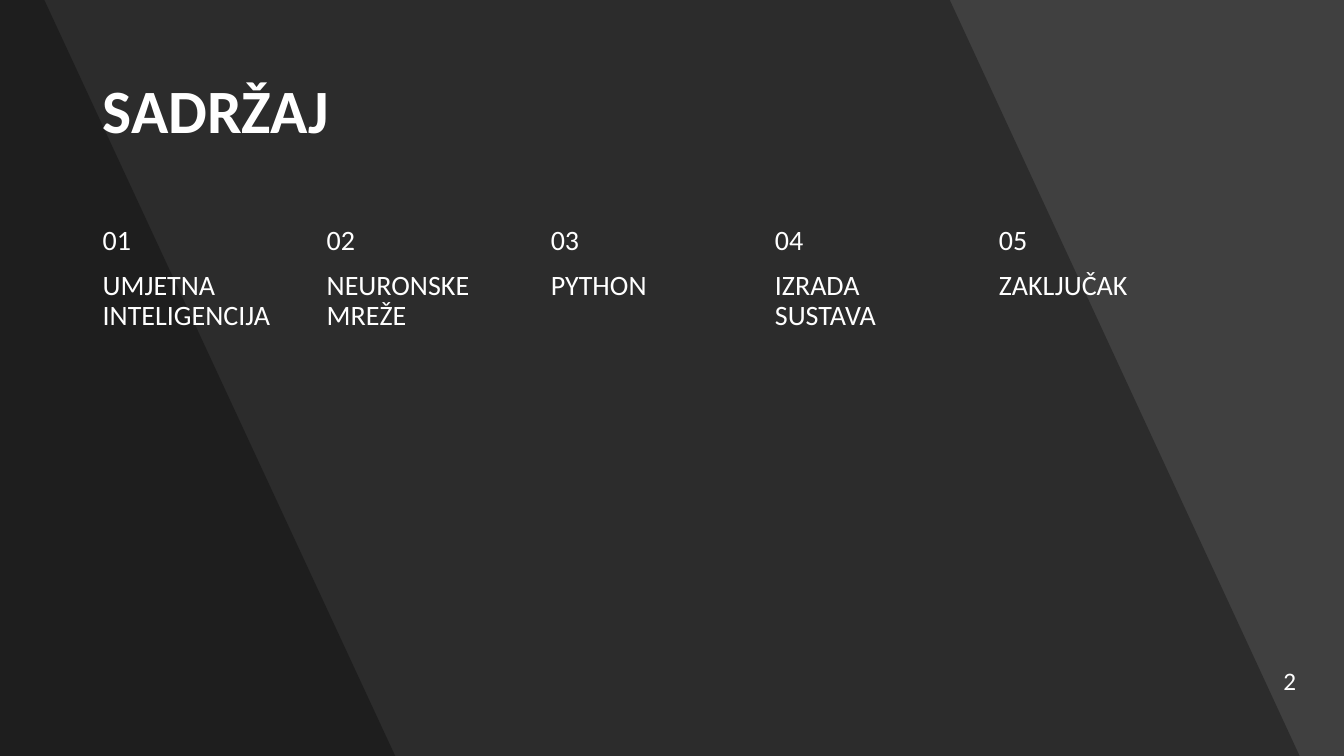
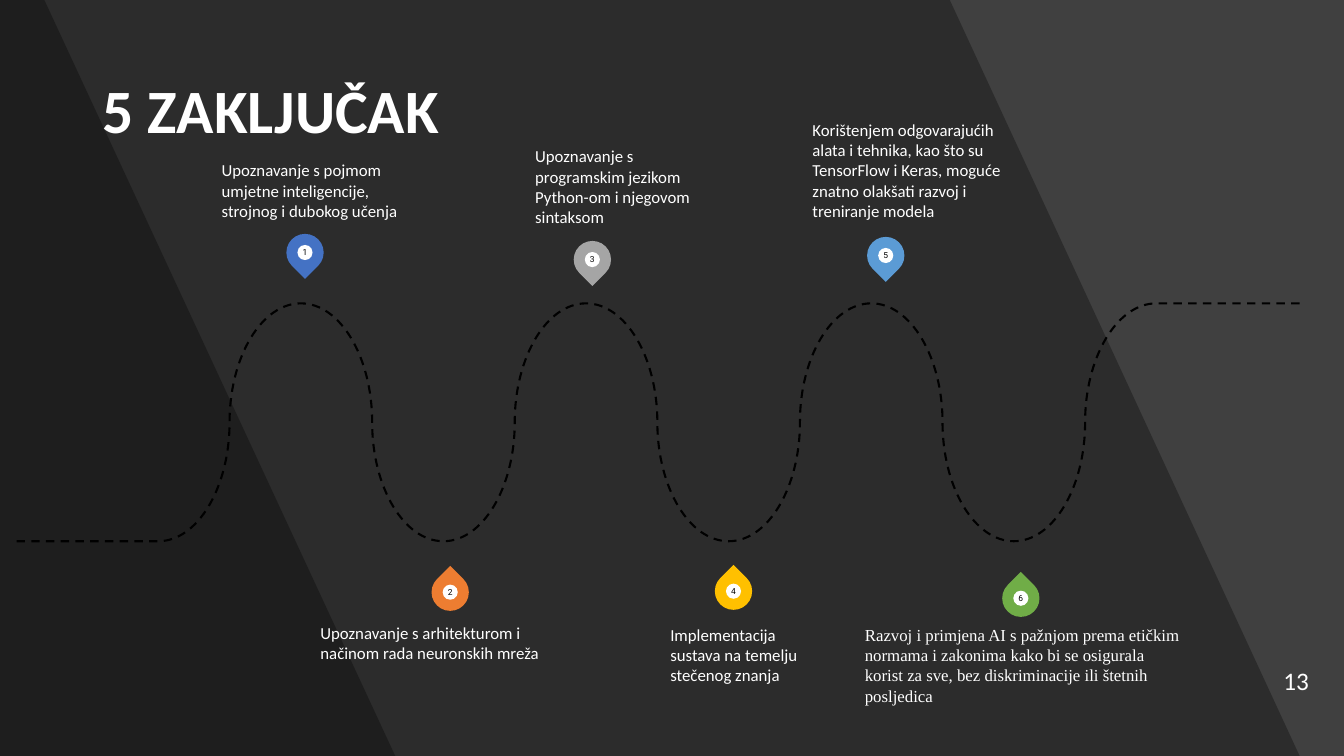
from typing import NamedTuple

from lxml.etree import SubElement
from pptx import Presentation
from pptx.dml.color import RGBColor
from pptx.enum.dml import MSO_LINE
from pptx.enum.shapes import MSO_SHAPE
from pptx.enum.text import MSO_ANCHOR, PP_ALIGN
from pptx.oxml.ns import qn
from pptx.util import Inches, Pt


class Box(NamedTuple):
    """A rectangle in inches."""

    left: float
    top: float
    width: float
    height: float

    def lengths(self):
        """Return the four sides as slide lengths."""
        return [Inches(side) for side in self]


BACKGROUND, WHITE, BLACK = "404040", "FFFFFF", "000000"
SLIDE = Box(0, 0, 13.33, 7.5)
BANDS = [(9.42, 12.89), (0.44, 3.92)]
TITLE_BOX = Box(0.92, 0.4, 11.5, 1.45)
TITLE_FONT = {"name": "Calibri", "size": Pt(44), "bold": True}
NUMBER_FONT = {"name": "Calibri", "size": Pt(18)}
CONTENTS_FONT = {"name": "Calibri", "size": Pt(20)}
NOTE_FONT = {"name": "Calibri", "size": Pt(12)}
SERIF_FONT = NOTE_FONT | {"name": "Times New Roman"}
PIN_FONT = {"name": "Roboto", "size": Pt(6)}
PIN_SIZE, DOT_SIZE = 0.37, 0.15
ARC_HANDLE = 0.55

CONTENTS = ["UMJETNA INTELIGENCIJA", "NEURONSKE MREŽE", "PYTHON", "IZRADA SUSTAVA", "ZAKLJUČAK"]

CONCLUSIONS = [
    ("4472C4", (2.84, 2.32), Box(2.1, 1.54, 2.18, 0.71), NOTE_FONT,
     "Upoznavanje s pojmom umjetne inteligencije, strojnog i dubokog učenja"),
    ("ED7D31", (4.28, 5.69), Box(3.08, 6.13, 2.53, 0.5), NOTE_FONT,
     "Upoznavanje s arhitekturom i načinom rada neuronskih mreža"),
    ("A5A5A5", (5.69, 2.39), Box(5.21, 1.4, 1.76, 0.91), NOTE_FONT,
     "Upoznavanje s programskim jezikom Python-om i njegovom sintaksom"),
    ("FFC000", (7.09, 5.68), Box(6.55, 6.15, 1.74, 0.71), NOTE_FONT,
     "Implementacija sustava na temelju stečenog znanja"),
    ("5B9BD5", (8.6, 2.35), Box(7.96, 1.14, 2.16, 1.11), NOTE_FONT,
     "Korištenjem odgovarajućih alata i tehnika, kao što su TensorFlow i Keras, "
     "moguće znatno olakšati razvoj i treniranje modela"),
    ("70AD47", (9.94, 5.75), Box(8.48, 6.15, 3.37, 0.91), SERIF_FONT,
     "Razvoj i primjena AI s pažnjom prema etičkim normama i zakonima kako bi se "
     "osigurala korist za sve, bez diskriminacije ili štetnih posljedica"),
]


def paint(target, color):
    """Give a fill one solid colour."""
    target.solid()
    target.fore_color.rgb = RGBColor.from_string(color)


def write(frame, lines, font, color=WHITE, **layout):
    """Write lines into a text frame, one paragraph each."""
    frame.word_wrap = True
    for index, line in enumerate(lines):
        para = frame.paragraphs[0] if index == 0 else frame.add_paragraph()
        settings = layout if index else layout | {"space_before": Pt(0)}
        for name, value in settings.items():
            setattr(para, name, value)
        span = para.add_run()
        span.text = line
        for name, value in font.items():
            setattr(span.font, name, value)
        paint(span.font.fill, color)


def add_text(page, box, lines, font, **layout):
    """Add a text box and return its frame."""
    frame = page.shapes.add_textbox(*box.lengths()).text_frame
    write(frame, lines, font, **layout)
    return frame


def add_outline(page, points, close):
    """Draw a freeform through points given in inches."""
    corners = [(Inches(x), Inches(y)) for x, y in points]
    builder = page.shapes.build_freeform(*corners[0])
    builder.add_line_segments(corners[1:], close=close)
    outline = builder.convert_to_shape()
    outline.shadow.inherit = False
    return outline


def add_band(page, box, top_edge, bottom_edge):
    """Darken the part of a box left of a slanted edge."""
    bottom = box.top + box.height
    corners = [(box.left, box.top), (box.left + top_edge, box.top),
               (box.left + bottom_edge, bottom), (box.left, bottom)]
    band = add_outline(page, corners, True)
    paint(band.fill, BLACK)
    band.line.fill.background()
    tone = band.fill._xPr.find(qn("a:solidFill"))[0]
    SubElement(tone, qn("a:alpha"), val="30000")


def add_number(page, number):
    """Add the page number in a box as wide as its digits."""
    box = Box(12.63, 6.55, 0.2 + 0.13 * len(str(number)), 0.4)
    add_text(page, box, [str(number)], NUMBER_FONT).word_wrap = False


def add_page(deck, title, number):
    """Add a slide with background, bands, title and page number."""
    page = deck.slides.add_slide(deck.slide_layouts[6])
    paint(page.background.fill, BACKGROUND)
    for edges in BANDS:
        add_band(page, SLIDE, *edges)
    frame = add_text(page, TITLE_BOX, [title], TITLE_FONT, line_spacing=0.9)
    frame.vertical_anchor = MSO_ANCHOR.MIDDLE
    add_number(page, number)
    return page


def add_contents(page, box, topics):
    """Set numbered topics in equally spaced columns."""
    width = 2.07
    step = (box.width - width) / (len(topics) - 1)
    for index, topic in enumerate(topics):
        column = Box(box.left + index * step, box.top, width, box.height)
        add_text(page, column, [f"{index + 1:02}", topic], CONTENTS_FONT,
                 line_spacing=0.9, space_before=Pt(10))


def bend_legs(outline):
    """Turn each three inner legs of an outline into one curve."""
    trace = next(outline._element.iter(qn("a:path")))
    legs = list(trace)[2:-1]
    for curve, *others in zip(legs[::3], legs[1::3], legs[2::3]):
        curve.tag = qn("a:cubicBezTo")
        for leg in others:
            curve.append(leg[0])
            trace.remove(leg)


def add_road(page, box, arcs=14, tail=1.42):
    """Draw a dashed wave of quarter ellipses with a straight tail at each end."""
    across, down = (box.width - 2 * tail) / arcs, box.height / 2
    right, middle = box.left + box.width, box.top + down
    points = [(right, box.top), (right - tail, box.top)]
    for arc in range(arcs):
        start = right - tail - arc * across
        end = start - across
        level = middle + (down if (arc + 1) // 2 % 2 else -down)
        reach = middle + (level - middle) * ARC_HANDLE
        if arc % 2:
            points += [(start, reach), (end + ARC_HANDLE * across, level), (end, level)]
        else:
            points += [(start - ARC_HANDLE * across, level), (end, reach), (end, middle)]
    points.append((box.left, box.top + box.height))
    road = add_outline(page, points, False)
    bend_legs(road)
    road.fill.background()
    paint(road.line.fill, BLACK)
    road.line.width = Pt(1.5)
    road.line.dash_style = MSO_LINE.DASH


def add_pin(page, box, number, color):
    """Add a numbered pin that points at the road."""
    group = page.shapes.add_group_shape()
    inset = (box.width - DOT_SIZE) / 2
    dot_box = Box(box.left + inset, box.top + inset, DOT_SIZE, DOT_SIZE)
    drop = group.shapes.add_shape(MSO_SHAPE.TEAR, *box.lengths())
    drop.rotation = 135 if number % 2 else 315
    dot = group.shapes.add_shape(MSO_SHAPE.OVAL, *dot_box.lengths())
    for part, tone in ((drop, color), (dot, WHITE)):
        part.shadow.inherit = False
        paint(part.fill, tone)
        part.line.fill.background()
    frame = dot.text_frame
    for side in ("left", "top", "right", "bottom"):
        setattr(frame, f"margin_{side}", 0)
    frame.vertical_anchor = MSO_ANCHOR.MIDDLE
    write(frame, [str(number)], PIN_FONT, BLACK, alignment=PP_ALIGN.CENTER)


def add_conclusions(page, box, conclusions):
    """Draw the road with its pins and notes."""
    add_road(page, box)
    for number, (color, corner, note_box, font, note) in enumerate(conclusions, 1):
        add_pin(page, Box(*corner, PIN_SIZE, PIN_SIZE), number, color)
        add_text(page, note_box, [note], font)


def main():
    """Build and save the deck."""
    deck = Presentation()
    deck.slide_width, deck.slide_height = Inches(SLIDE.width), Inches(SLIDE.height)
    add_contents(add_page(deck, "SADRŽAJ", 2), Box(0.92, 2.2, 10.96, 4.56), CONTENTS)
    add_conclusions(add_page(deck, "5 ZAKLJUČAK", 13), Box(0.15, 3.01, 12.74, 2.36), CONCLUSIONS)
    deck.save("out.pptx")


if __name__ == "__main__":
    main()
